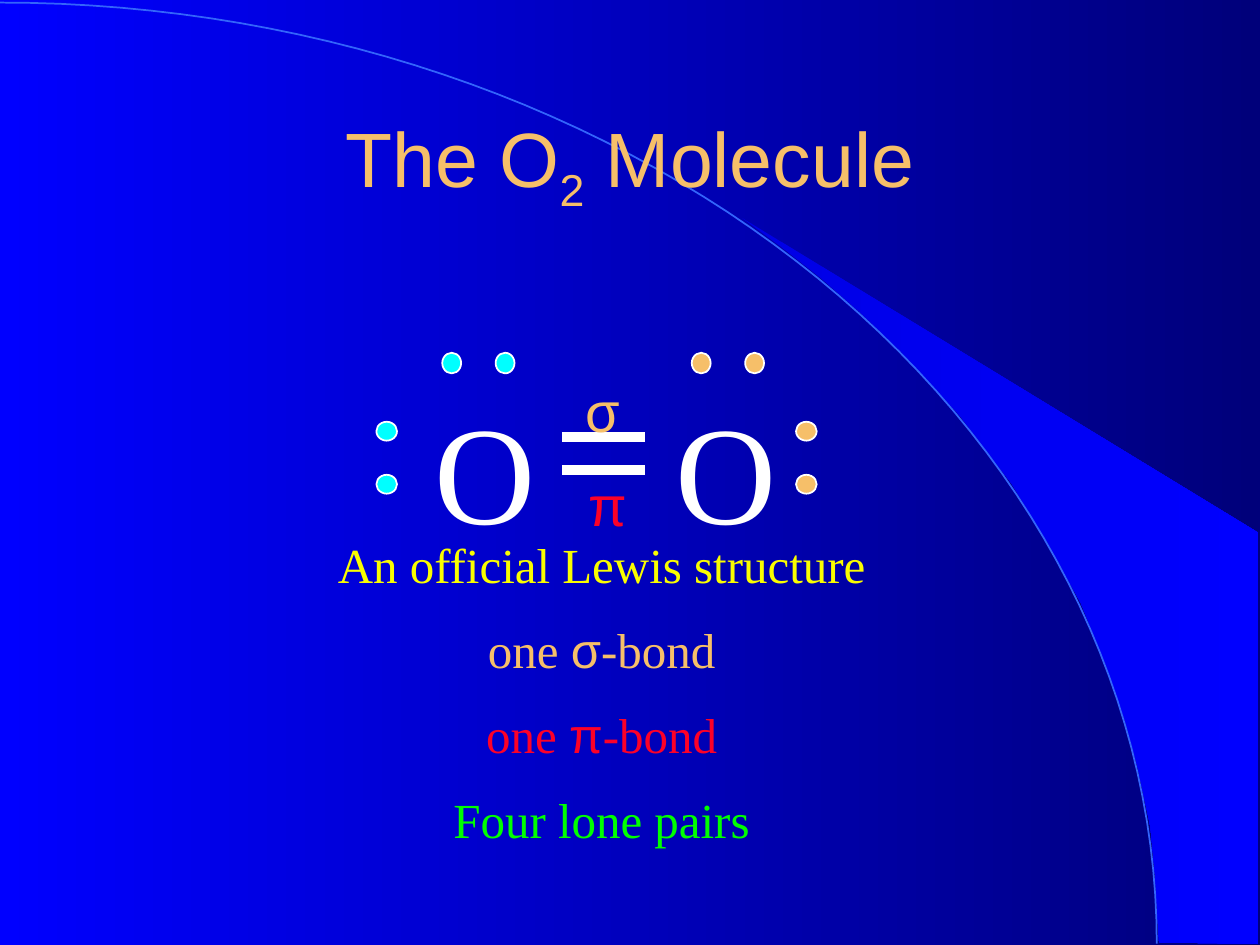
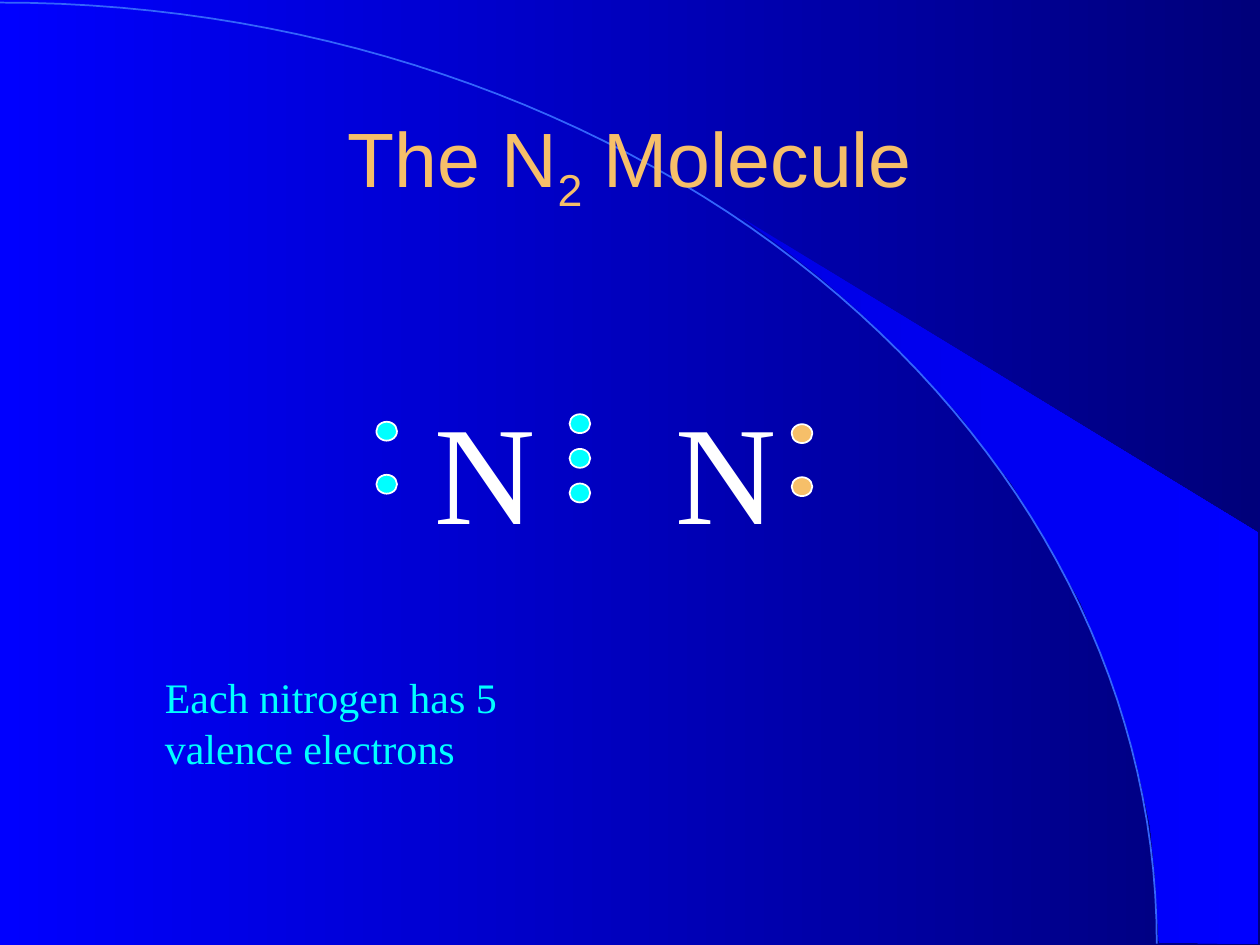
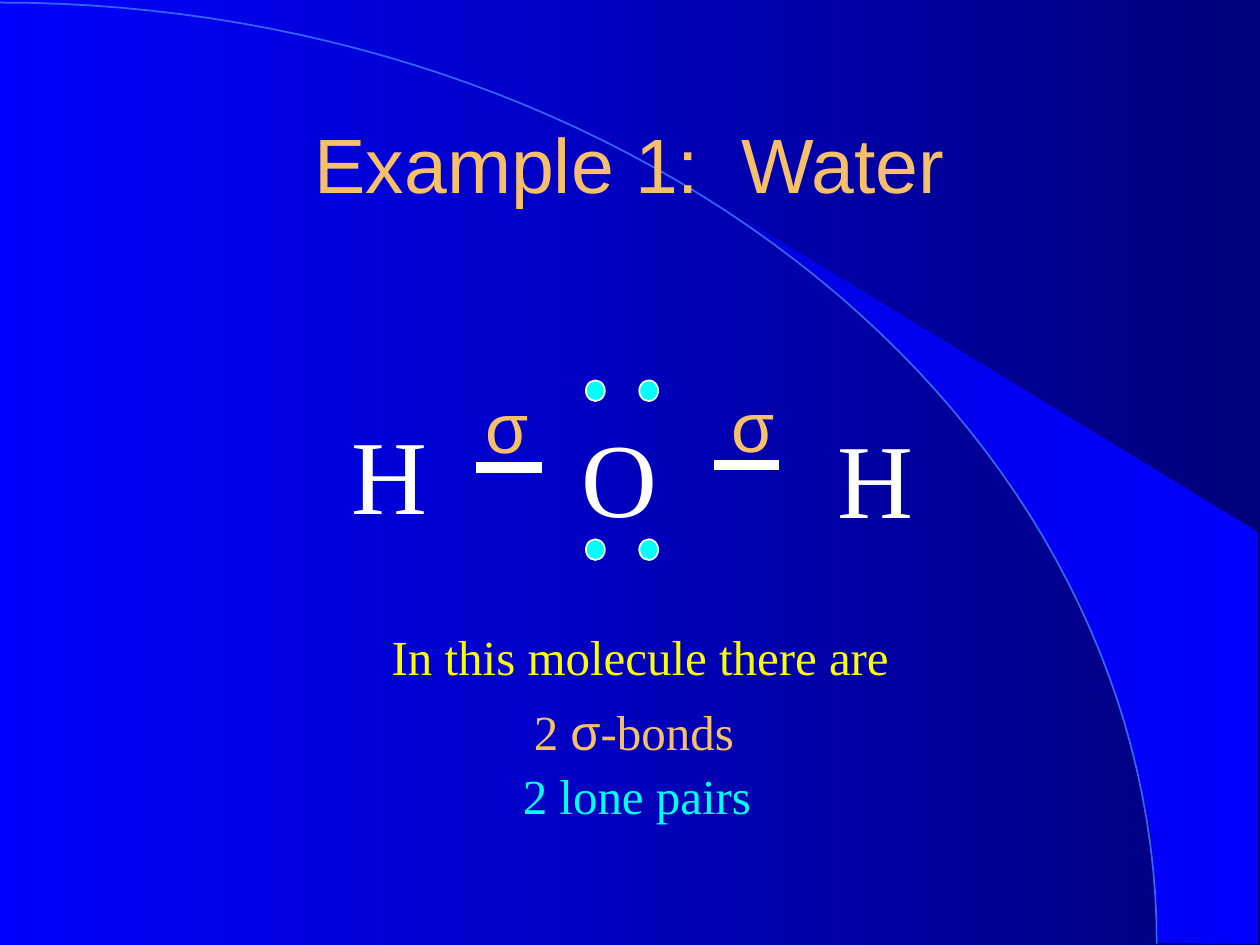
from dataclasses import dataclass
from math import cos, pi, sin

from lxml.etree import SubElement
from pptx import Presentation
from pptx.dml.color import RGBColor
from pptx.enum.shapes import MSO_CONNECTOR, MSO_SHAPE
from pptx.enum.text import MSO_ANCHOR, PP_ALIGN
from pptx.oxml.ns import qn
from pptx.util import Pt


@dataclass(frozen=True)
class Theme:
    white = RGBColor.from_string("FFFFFF")
    gold = RGBColor.from_string("F6BF69")
    cyan = RGBColor.from_string("00FFFF")
    yellow = RGBColor.from_string("FAFD00")
    red = RGBColor.from_string("FC0128")
    green = RGBColor.from_string("00FF00")
    curve = RGBColor.from_string("3365FB")
    backdrop = (RGBColor.from_string("0000FF"), RGBColor.from_string("00007A"))
    swoosh = (RGBColor.from_string("0000E5"), RGBColor.from_string("0000FF"))
    sans = "Arial"
    serif = "Times New Roman"
    title_size = 44
    pair_size = 80
    atom_size = 60
    water_bond_size = 40
    bond_size = 32
    body_size = 28
    note_size = 24


theme = Theme()
center, left_aligned = PP_ALIGN.CENTER, PP_ALIGN.LEFT


def shade(fill, colors):
    fill.gradient()
    fill.gradient_angle = 0
    for stop, color in zip(fill.gradient_stops, colors):
        stop.color.rgb = color


def add_label(page, left, top, width, height, size, align, lines, tab=None):
    box = page.shapes.add_textbox(Pt(left), Pt(top), Pt(width), Pt(height))
    frame = box.text_frame
    frame.word_wrap = True
    frame.margin_top = Pt(3.6 + size / 10)
    if tab:
        frame.margin_left = Pt(tab[0])
    for index, (color, texts) in enumerate(lines):
        paragraph = frame.add_paragraph() if index else frame.paragraphs[0]
        paragraph.alignment = align
        if index:
            paragraph.space_before = Pt(15)
        if tab:
            stops = SubElement(paragraph._p.get_or_add_pPr(), qn("a:tabLst"))
            SubElement(stops, qn("a:tab"), pos=str(Pt(tab[1])), algn="l")
        fonts = [theme.sans if text in ("σ", "π") else theme.serif for text in texts]
        paragraph.font.size = Pt(size)
        paragraph.font.color.rgb = color
        paragraph.font.name = fonts[0]
        for text, font in zip(texts, fonts):
            span = paragraph.add_run()
            span.text = text
            if font != fonts[0]:
                span.font.name = font


deck = Presentation()
deck.slide_width, deck.slide_height = Pt(720), Pt(540)
master = deck.slide_master
layout = deck.slide_layouts[5]
shade(master.background.fill, theme.backdrop)

swoosh_points = [
    (662.4, 538.6), (719.3, 539.3), (719.3, 304.6), (424.1, 124.6), (449.3, 143.3),
    (470.2, 159.8), (493.2, 180), (515.5, 201.6), (548.6, 237.6), (578.2, 276.5),
    (599, 310.3), (617.8, 344.9), (632.2, 380.2), (643, 411.8), (650.2, 438.5),
    (657.4, 472.3), (660.2, 501.1),
]
steps = 60
curve_points = [
    (661 * sin(pi / 2 * step / steps), 539.3 - 537.8 * cos(pi / 2 * step / steps))
    for step in range(steps + 1)
]

slides = [
    dict(
        title=["The O", "2", " Molecule"],
        atoms="O\tO",
        dots=[
            (252.7, 201.6, 30.5, 0, 2, theme.cyan),
            (215.6, 240.5, 0, 30.3, 2, theme.cyan),
            (395.3, 201.6, 30.5, 0, 2, theme.gold),
            (455.4, 240.5, 0, 30.3, 2, theme.gold),
        ],
        bonds=[(321.1, 368.6, 249.8), (321.1, 368.6, 268.6)],
        labels=[
            (164.9, 298.8, 357.8, 192.2, theme.body_size, center, [
                (theme.yellow, ["An official Lewis structure"]),
                (theme.gold, ["one ", "σ", "-bond"]),
                (theme.red, ["one ", "π", "-bond"]),
                (theme.green, ["Four lone pairs"]),
            ]),
            (311.8, 208.1, 65.5, 45.4, theme.bond_size, center, [(theme.gold, ["σ"])]),
            (313.2, 262.1, 68.4, 45.4, theme.bond_size, center, [(theme.red, ["π"])]),
        ],
    ),
    dict(
        title=["The N", "2", " Molecule"],
        atoms="N\tN",
        dots=[
            (215.6, 240.5, 0, 30.3, 2, theme.cyan),
            (326, 236.2, 0, 19.8, 3, theme.cyan),
            (452.9, 241.9, 0, 30.3, 2, theme.gold),
        ],
        bonds=[],
        labels=[
            (87.1, 378, 239.8, 64.8, theme.note_size, left_aligned,
             [(theme.cyan, ["Each nitrogen has 5 valence electrons"])]),
        ],
    ),
    dict(
        title=["Example 1:  Water"],
        atoms=None,
        dots=[
            (334.8, 217.4, 30.5, 0, 2, theme.cyan),
            (334.8, 308.2, 30.5, 0, 2, theme.cyan),
        ],
        bonds=[(272.2, 309.6, 267.1), (408.2, 445, 265.7)],
        labels=[
            (193.7, 224.6, 52.6, 79.2, theme.atom_size, center, [(theme.white, ["H"])]),
            (471.6, 226.8, 52.6, 79.2, theme.atom_size, center, [(theme.white, ["H"])]),
            (314.6, 226.1, 79.2, 79.2, theme.atom_size, center, [(theme.white, ["O"])]),
            (262.1, 211.7, 55.4, 55.4, theme.water_bond_size, center, [(theme.gold, ["σ"])]),
            (402.5, 211, 55.4, 55.4, theme.water_bond_size, center, [(theme.gold, ["σ"])]),
            (286.6, 394.6, 151.2, 41, theme.body_size, center,
             [(theme.gold, ["2 ", "σ", "-bonds"])]),
            (214.6, 351.4, 309.6, 41, theme.body_size, center,
             [(theme.yellow, ["In this molecule there are "])]),
            (263.5, 431.3, 200.9, 41, theme.body_size, center,
             [(theme.cyan, ["2 lone pairs"])]),
        ],
    ),
]

for number, content in enumerate(slides):
    page = deck.slides.add_slide(layout)

    if number == 0:
        for points, closed in ((swoosh_points, True), (curve_points, False)):
            outline = [(Pt(x), Pt(y)) for x, y in points]
            builder = page.shapes.build_freeform(*outline[0])
            builder.add_line_segments(outline[1:], close=closed)
            shape = builder.convert_to_shape()
            shape.shadow.inherit = False
            if closed:
                shade(shape.fill, theme.swoosh)
                shape.line.fill.background()
            else:
                shape.fill.background()
                shape.line.color.rgb = theme.curve
                shape.line.width = Pt(1)
            master.shapes.element.append(shape.element)

    title = page.shapes.title
    title.left, title.top, title.width, title.height = Pt(54), Pt(48.2), Pt(612), Pt(90)
    title.text_frame.vertical_anchor = MSO_ANCHOR.MIDDLE
    paragraph = title.text_frame.paragraphs[0]
    paragraph.alignment = center
    paragraph.font.name = theme.sans
    paragraph.font.size = Pt(theme.title_size)
    paragraph.font.color.rgb = theme.gold
    for text in content["title"]:
        span = paragraph.add_run()
        span.text = text
        if text == "2":
            span._r.get_or_add_rPr().set("baseline", "-25000")

    if content["atoms"]:
        add_label(page, 190.8, 208.1, 310.3, 103, theme.pair_size, left_aligned,
                  [(theme.white, [content["atoms"]])], tab=(57.4, 137.8))

    for left, top, step_x, step_y, count, color in content["dots"]:
        for index in range(count):
            dot = page.shapes.add_shape(
                MSO_SHAPE.OVAL, Pt(left + index * step_x), Pt(top + index * step_y),
                Pt(10.8), Pt(11.8))
            dot.rotation = 270 if step_y else 0
            dot.shadow.inherit = False
            dot.fill.solid()
            dot.fill.fore_color.rgb = color
            dot.line.color.rgb = theme.white
            dot.line.width = Pt(1)

    for start, end, height in content["bonds"]:
        bond = page.shapes.add_connector(
            MSO_CONNECTOR.STRAIGHT, Pt(start), Pt(height), Pt(end), Pt(height))
        bond.line.color.rgb = theme.white
        bond.line.width = Pt(6)
        SubElement(bond.element.spPr, qn("a:effectLst"))

    for label in content["labels"]:
        add_label(page, *label)

deck.save("out.pptx")
